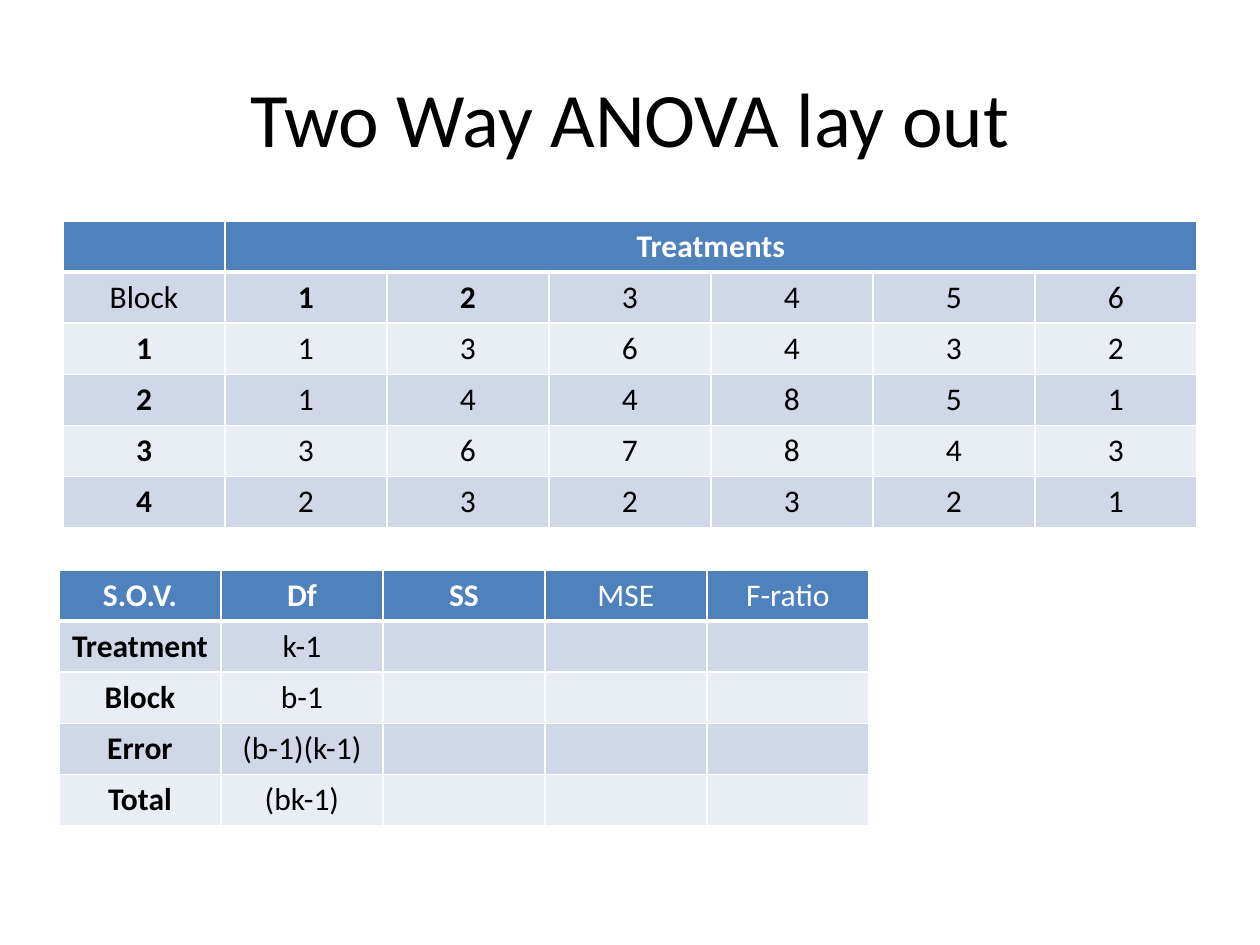
"""Build the two-way ANOVA layout slide with its data table and summary table."""
from pptx import Presentation
from pptx.dml.color import RGBColor
from pptx.enum.text import MSO_ANCHOR, PP_ALIGN
from pptx.oxml.ns import qn
from pptx.util import Pt
from lxml import etree

CENTER, MIDDLE = PP_ALIGN.CENTER, MSO_ANCHOR.MIDDLE
PX = 914400 // 126
COL_W, ROW_H = 162, 51
WHITE, BLACK, HEADER = "FFFFFF", "000000", "4F81BD"
BANDS = ("E9EDF4", "D0D8E8")
FONT = "Calibri"

TITLE = {"text": "Two Way ANOVA lay out", "box": (63, 38, 1134, 157)}
TABLES = [
    {
        "at": (63, 221),
        "rows": [
            ["", "Treatments", "", "", "", "", ""],
            ["Block", "1", "2", "3", "4", "5", "6"],
            ["1", "1", "3", "6", "4", "3", "2"],
            ["2", "1", "4", "4", "8", "5", "1"],
            ["3", "3", "6", "7", "8", "4", "3"],
            ["4", "2", "3", "2", "3", "2", "1"],
        ],
        "bold": {(0, 1), (1, 1), (1, 2), (2, 0), (3, 0), (4, 0), (5, 0)},
        "merge": ((0, 1), (0, 6)),
    },
    {
        "at": (59, 570),
        "rows": [
            ["S.O.V.", "Df", "SS", "MSE", "F-ratio"],
            ["Treatment", "k-1", "", "", ""],
            ["Block", "b-1", "", "", ""],
            ["Error", "(b-1)(k-1)", "", "", ""],
            ["Total", "(bk-1)", "", "", ""],
        ],
        "bold": {(0, 0), (0, 1), (0, 2), (1, 0), (2, 0), (3, 0), (4, 0)},
        "merge": None,
    },
]


def rgb(value):
    return RGBColor.from_string(value)


def style(p, text, color, **font):
    p.alignment = CENTER
    r = p.add_run()
    r.text = text
    for name, value in {"name": FONT, **font}.items():
        setattr(r.font, name, value)
    r.font.color.rgb = rgb(color)


def add_borders(cell, row):
    tc_pr = cell._tc.get_or_add_tcPr()
    widths = {"lnL": 1, "lnR": 1, "lnT": 3 if row == 1 else 1, "lnB": 3 if row == 0 else 1}
    for tag, width in widths.items():
        ln = etree.SubElement(tc_pr, qn(f"a:{tag}"), w=str(Pt(width)))
        fill = etree.SubElement(ln, qn("a:solidFill"))
        etree.SubElement(fill, qn("a:srgbClr"), val=WHITE)


def add_grid(s, at, rows, bold, merge):
    n_rows, n_cols = len(rows), len(rows[0])
    box = (*at, n_cols * COL_W, n_rows * ROW_H)
    table = s.shapes.add_table(n_rows, n_cols, *(v * PX for v in box)).table
    for i, row in enumerate(rows):
        for j, text in enumerate(row):
            cell = table.cell(i, j)
            add_borders(cell, i)
            cell.fill.solid()
            cell.fill.fore_color.rgb = rgb(BANDS[i % 2] if i else HEADER)
            if text:
                style(cell.text_frame.paragraphs[0], text, BLACK if i else WHITE,
                      size=Pt(18), bold=(i, j) in bold)
    if merge:
        first, last = merge
        table.cell(*first).merge(table.cell(*last))


def main():
    prs = Presentation()
    prs.slide_width, prs.slide_height = 1260 * PX, 945 * PX
    s = prs.slides.add_slide(prs.slide_layouts[5])
    title = s.shapes.title
    for name, value in zip(("left", "top", "width", "height"), TITLE["box"]):
        setattr(title, name, value * PX)
    title.text_frame.vertical_anchor = MIDDLE
    style(title.text_frame.paragraphs[0], TITLE["text"], BLACK, size=Pt(44))
    for grid in TABLES:
        add_grid(s, **grid)
    prs.save("out.pptx")


if __name__ == "__main__":
    main()
